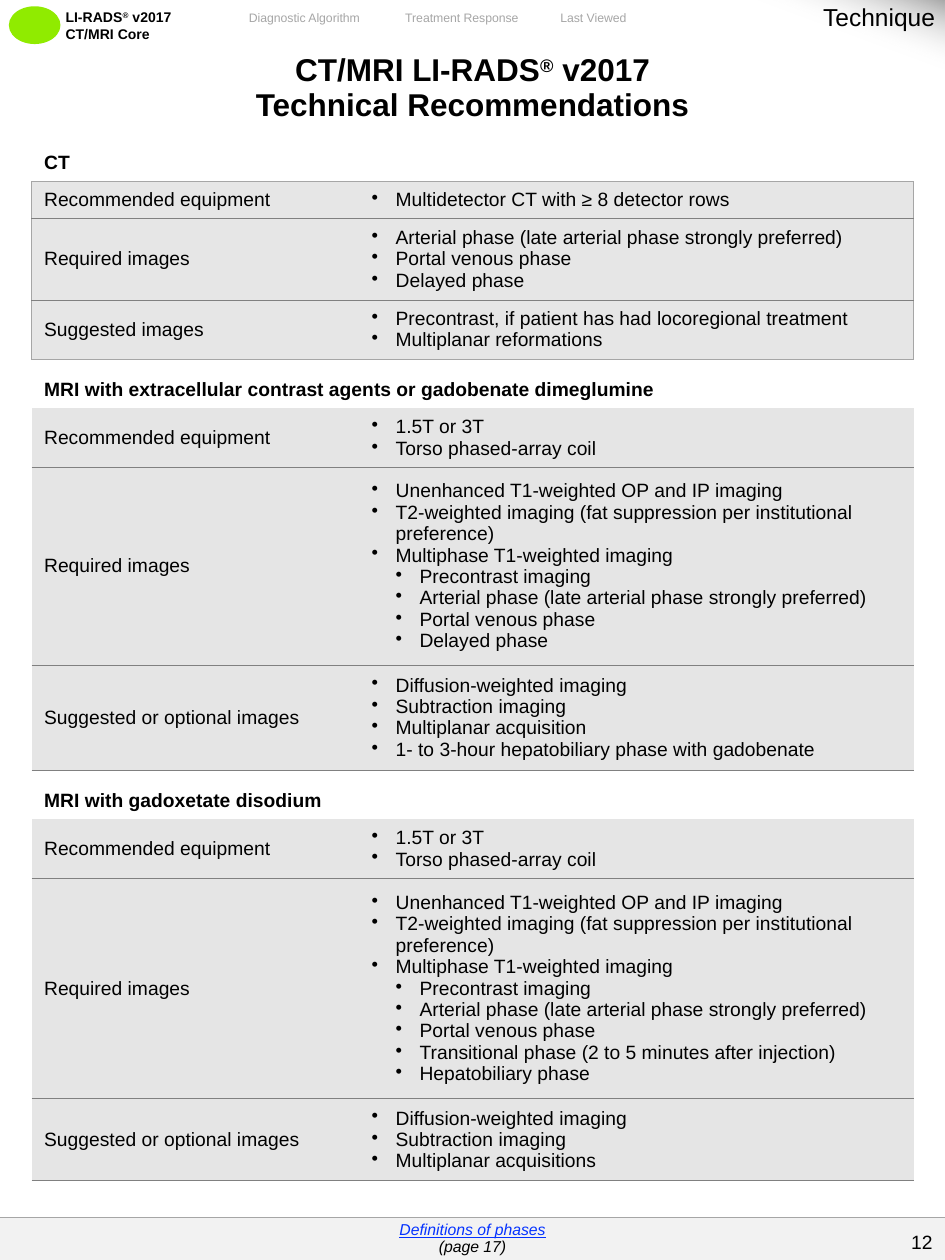
from dataclasses import dataclass

from lxml import etree
from pptx import Presentation
from pptx.dml.color import RGBColor
from pptx.enum.shapes import MSO_SHAPE
from pptx.enum.text import MSO_ANCHOR, PP_ALIGN
from pptx.oxml.ns import qn
from pptx.util import Inches, Pt

LEFT, CENTER, RIGHT = PP_ALIGN.LEFT, PP_ALIGN.CENTER, PP_ALIGN.RIGHT
TOP, MIDDLE = MSO_ANCHOR.TOP, MSO_ANCHOR.MIDDLE
OVAL, CORNER = MSO_SHAPE.OVAL, MSO_SHAPE.RIGHT_TRIANGLE
CELL = Inches(0.05)
COLUMNS, ROWS = 150, 200
INDENT = 3.8
PLAIN_STYLE = "{2D5ABB26-0587-4C30-8999-92F81FD0307C}"
BLACK, GREY, INNER, PALE, WHITE = "000000", "A6A6A6", "808080", "F2F2F2", "FFFFFF"
OUTLINE_EDGE, INNER_EDGE = (GREY, 0.25), (INNER, 0.5)

BODY = {"name": "Arial", "size": Pt(11), "bold": False}
HEADING = BODY | {"bold": True}
TITLE = HEADING | {"size": Pt(18)}
BRAND = HEADING | {"size": Pt(8)}
NAVIGATION = BODY | {"size": Pt(7)}
SECTION_NAME = BODY | {"size": Pt(14)}
FOOTNOTE = BODY | {"size": Pt(9), "italic": True}
LINK = FOOTNOTE | {"underline": True}


@dataclass
class Label:
    text: str
    place: tuple
    style: dict
    color: str = BLACK
    align: int = LEFT
    anchor: int = MIDDLE
    margins: tuple = (2, 1, 2, 1)


@dataclass
class Item:
    label: str
    height: float
    bullets: tuple
    sub_bullets: tuple = ()


@dataclass
class Section:
    heading: str
    height: float
    space_above: float
    fill: str
    items: tuple
    outline: tuple | None = None


COIL = Item("Recommended equipment", 9.2, ("1.5T or 3T", "Torso phased-array coil"))
MRI_IMAGES = (
    "Unenhanced T1-weighted OP and IP imaging",
    "T2-weighted imaging (fat suppression per institutional preference)",
    "Multiphase T1-weighted imaging",
)
ARTERIAL = "Arterial phase (late arterial phase strongly preferred)"
PHASES = ("Precontrast imaging", ARTERIAL, "Portal venous phase")
EXTRAS = ("Diffusion-weighted imaging", "Subtraction imaging")

SECTIONS = (
    Section("CT", 5.8, 1, "E6E6E6", (
        Item("Recommended equipment", 5.8, ("Multidetector CT with ≥ 8 detector rows",)),
        Item("Required images", 13, (ARTERIAL, "Portal venous phase", "Delayed phase")),
        Item("Suggested images", 9.4, (
            "Precontrast, if patient has had locoregional treatment",
            "Multiplanar reformations")),
    ), OUTLINE_EDGE),
    Section("MRI with extracellular contrast agents or gadobenate dimeglumine", 7.8, 3, "E5E5E5", (
        COIL,
        Item("Required images", 31.4, MRI_IMAGES, PHASES + ("Delayed phase",)),
        Item("Suggested or optional images", 16.6, EXTRAS + (
            "Multiplanar acquisition",
            "1- to 3-hour hepatobiliary phase with gadobenate")),
    )),
    Section("MRI with gadoxetate disodium", 7.8, 3, "E5E5E5", (
        COIL,
        Item("Required images", 35, MRI_IMAGES, PHASES + (
            "Transitional phase (2 to 5 minutes after injection)", "Hepatobiliary phase")),
        Item("Suggested or optional images", 13, EXTRAS + ("Multiplanar acquisitions",)),
    )),
)

NAVIGATION_LABELS = [
    Label(text, (left, 0.6, width, 4.4), NAVIGATION, GREY, CENTER)
    for text, left, width in (("Diagnostic Algorithm", 36.8, 23),
                              ("Treatment Response", 61.8, 23), ("Last Viewed", 86.6, 15.2))
]
BRAND_LABEL = Label("LI-RADS® v2017\nCT/MRI Core", (9, 0.6, 25.8, 6.8), BRAND,
                    anchor=TOP, margins=(1.4, 0.8, 1.4, 0.8))
PAGE_NUMBER = Label("12", (140.2, 194.2, 9.8, 5.8), BODY, align=RIGHT)
TECHNIQUE = Label("Technique", (108.4, -0.6, 42, 6.8), SECTION_NAME, align=RIGHT, anchor=TOP)


def rgb(color: str) -> RGBColor:
    """Turn a hex string into a colour."""
    return RGBColor.from_string(color)


def grid(*lengths: float) -> list:
    """Turn grid cells into slide lengths."""
    return [round(length * CELL) for length in lengths]


def write(para, text: str, style: dict, color: str = BLACK, align: int = LEFT) -> None:
    """Write text into a paragraph, raising each registered mark."""
    para.alignment = align
    before, mark, after = text.partition("®")
    for part in filter(None, (before, mark, after)):
        span = para.add_run()
        span.text = part
        for name, value in style.items():
            setattr(span.font, name, value)
        span.font.color.rgb = rgb(color)
        if part == "®":
            span.font._rPr.set("baseline", "30000")


def write_lines(frame, lines: list) -> list:
    """Write one paragraph for each tuple of write arguments."""
    paras = [frame.paragraphs[0]] + [frame.add_paragraph() for _ in lines[1:]]
    for para, line in zip(paras, lines):
        write(para, *line)
    return paras


def set_margins(holder, margins: tuple) -> None:
    """Set left, top, right and bottom margins."""
    for side, length in zip(("left", "top", "right", "bottom"), grid(*margins)):
        setattr(holder, f"margin_{side}", length)


def add_label(page, label: Label) -> None:
    """Draw a text box."""
    frame = page.shapes.add_textbox(*grid(*label.place)).text_frame
    frame.word_wrap = True
    frame.vertical_anchor = label.anchor
    set_margins(frame, label.margins)
    write_lines(frame, [(text, label.style, label.color, label.align)
                        for text in label.text.split("\n")])


def add_bullets(frame, item: Item) -> None:
    """Write a two-level bullet list."""
    entries = [(text, 1) for text in item.bullets] + [(text, 2) for text in item.sub_bullets]
    paras = write_lines(frame, [(text, BODY) for text, _ in entries])
    for para, (_, level) in zip(paras, entries):
        properties = para._p.get_or_add_pPr()
        properties.set("marL", str(grid(INDENT * level)[0]))
        properties.set("indent", str(grid(-INDENT)[0]))
        etree.SubElement(properties, qn("a:buChar")).set("char", "•")


def format_cell(cell, margins: tuple, fill: str | None = None, **edges) -> None:
    """Set margins, fill and the given left, right, top and bottom edges."""
    cell.vertical_anchor = MIDDLE
    set_margins(cell, margins)
    if fill:
        cell.fill.solid()
        cell.fill.fore_color.rgb = rgb(fill)
    else:
        cell.fill.background()
    given = [side for side in ("L", "R", "T", "B") if edges.get(side)]
    for index, side in enumerate(given):
        color, width = edges[side]
        line = etree.Element(qn(f"a:ln{side}"), w=str(Pt(width)))
        paint = etree.SubElement(line, qn("a:solidFill"))
        etree.SubElement(paint, qn("a:srgbClr")).set("val", color)
        cell._tc.get_or_add_tcPr().insert(index, line)


def add_plain_table(page, place: tuple, widths: tuple, heights: list):
    """Add a table without banding or style lines."""
    table = page.shapes.add_table(len(heights), len(widths), *grid(*place)).table
    table.first_row = table.horz_banding = False
    table._tbl.tblPr.find(qn("a:tableStyleId")).text = PLAIN_STYLE
    for column, width in zip(table.columns, grid(*widths)):
        column.width = width
    for row, height in zip(table.rows, grid(*heights)):
        row.height = height
    return table


def add_recommendations(page) -> None:
    """Draw the title and the three sections as one table."""
    heights = [15]
    for section in SECTIONS:
        heights += [section.height] + [item.height for item in section.items]
    heights.append(5.4)
    table = add_plain_table(page, (5, 8, 140, sum(heights)), (52, 88), heights)

    def full_row(row: int, margins: tuple, fill: str | None = None, **edges):
        cell = table.cell(row, 0)
        cell.merge(table.cell(row, 1))
        format_cell(cell, margins, fill, **edges)
        return cell.text_frame

    titles = ("CT/MRI LI-RADS® v2017", "Technical Recommendations")
    write_lines(full_row(0, (2, 0, 2, 3)), [(text, TITLE, BLACK, CENTER) for text in titles])
    row = 1
    for section in SECTIONS:
        heading = full_row(row, (2, section.space_above, 0.8, 1), WHITE, B=section.outline)
        write_lines(heading, [(section.heading, HEADING)])
        for item in section.items:
            row += 1
            top = section.outline if item is section.items[0] else INNER_EDGE
            bottom = section.outline if item is section.items[-1] else INNER_EDGE
            for column, side in enumerate("LR"):
                format_cell(table.cell(row, column), (2, 1, 0.8, 1), section.fill,
                            T=top, B=bottom, **{side: section.outline})
            write_lines(table.cell(row, 0).text_frame, [(item.label, BODY)])
            add_bullets(table.cell(row, 1).text_frame, item)
        row += 1
    closing = full_row(row, (2, 0, 2, 0))
    closing.paragraphs[0]._p.get_or_add_endParaRPr().set("sz", "900")


def add_footer(page) -> None:
    """Draw the footer band."""
    table = add_plain_table(page, (0, 193.2, COLUMNS, 6.8), (COLUMNS,), [6.8])
    cell = table.cell(0, 0)
    format_cell(cell, (2, 0.4, 2, 0.4), PALE, T=OUTLINE_EDGE)
    write_lines(cell.text_frame, [("Definitions of phases", LINK, "0432FF", CENTER),
                                  ("(page 17)", FOOTNOTE, BLACK, CENTER)])


def add_shape(page, kind: int, place: tuple):
    """Add a preset shape without line or shadow."""
    shape = page.shapes.add_shape(kind, *grid(*place))
    shape.shadow.inherit = False
    shape.line.fill.background()
    return shape


def add_corner_shade(page) -> None:
    """Draw the fading triangle in the top right corner."""
    shade = add_shape(page, CORNER, (119.8, 0, 30.2, 11))
    shade.rotation = 180
    shade.fill.gradient()
    shade.fill.gradient_angle = 70
    for stop, color, position in zip(shade.fill.gradient_stops, (GREY, WHITE), (0, 0.5)):
        stop.color.rgb = rgb(color)
        stop.position = position
    clear = list(shade._element.spPr.iter(qn("a:srgbClr")))[-1]
    etree.SubElement(clear, qn("a:alpha")).set("val", "0")


def main() -> None:
    """Build the slide and save it."""
    deck = Presentation()
    deck.slide_width, deck.slide_height = grid(COLUMNS, ROWS)
    page = deck.slides.add_slide(deck.slide_layouts[6])
    emblem = add_shape(page, OVAL, (1.4, 1, 8.2, 6))
    emblem.fill.solid()
    emblem.fill.fore_color.rgb = rgb("90EB00")
    for label in (BRAND_LABEL, *NAVIGATION_LABELS):
        add_label(page, label)
    add_recommendations(page)
    add_footer(page)
    add_label(page, PAGE_NUMBER)
    add_corner_shade(page)
    add_label(page, TECHNIQUE)
    deck.save("out.pptx")


if __name__ == "__main__":
    main()
